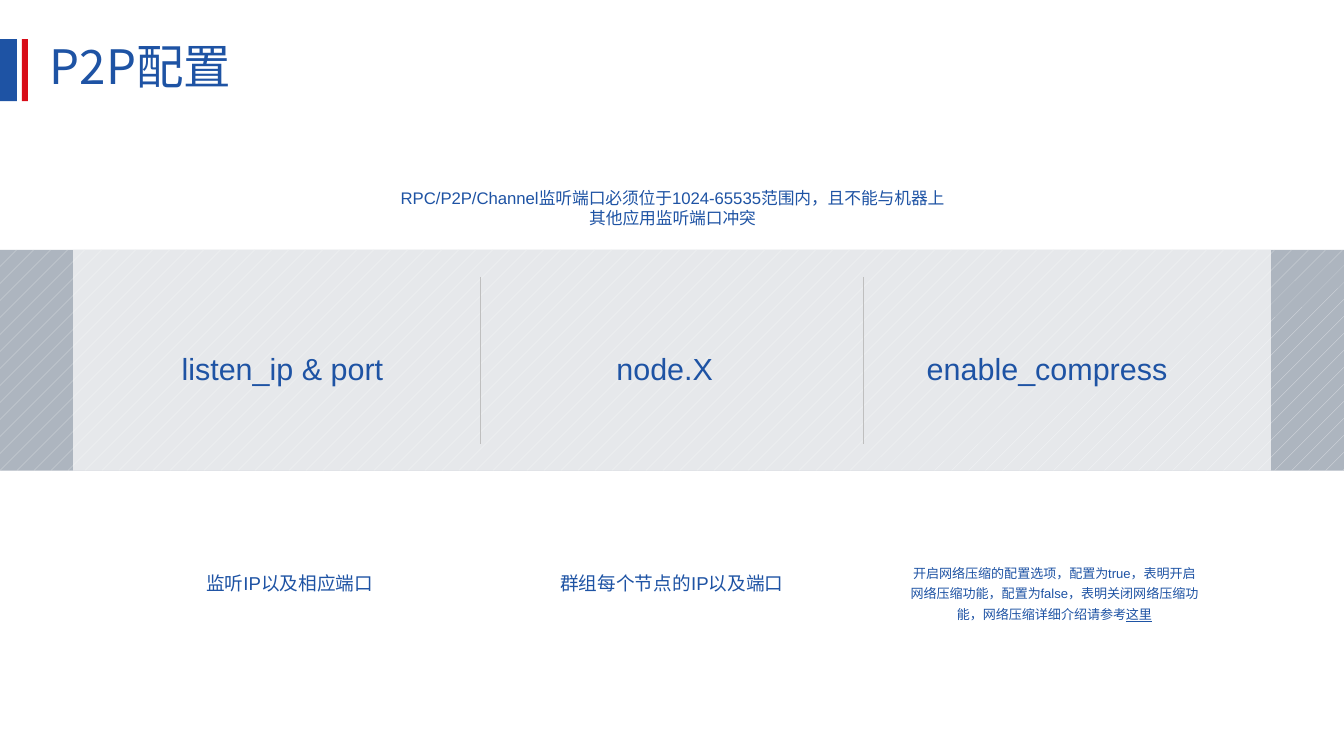
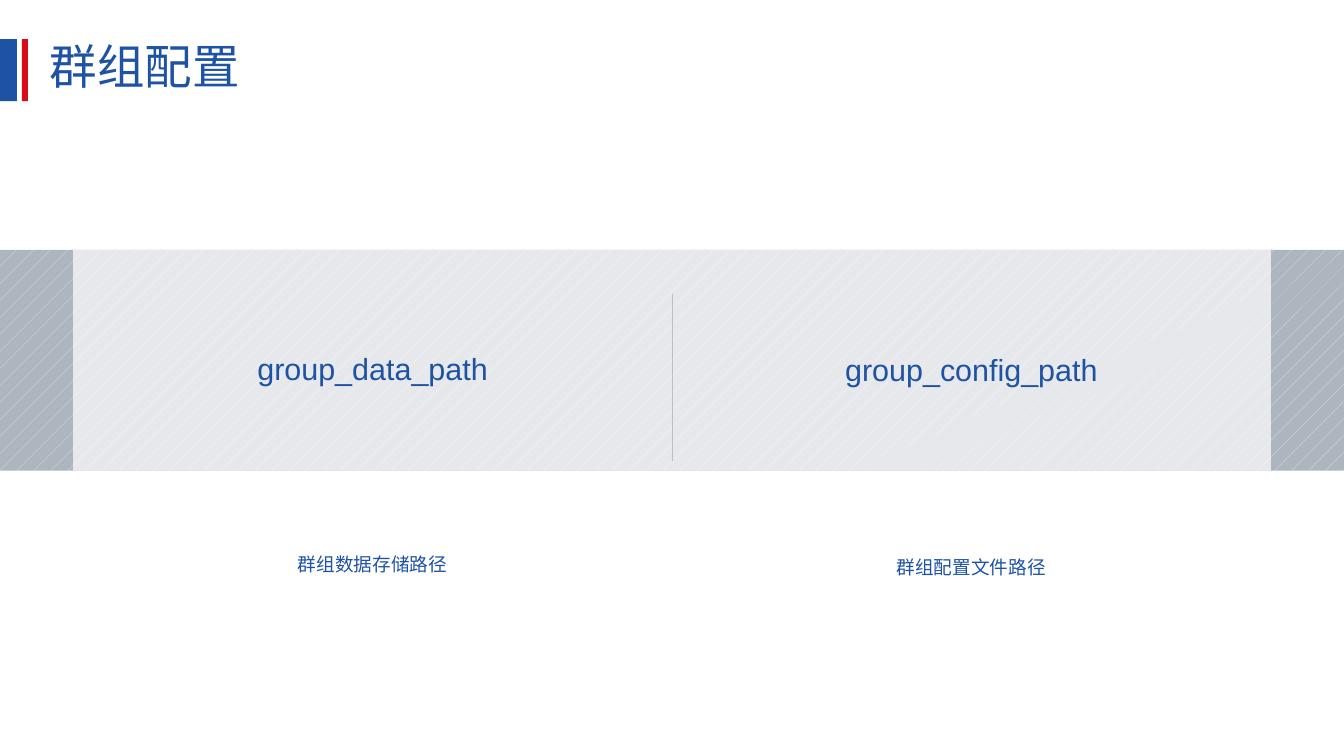
import pptx
import pptx.dml.color
import pptx.enum.dml
import pptx.enum.shapes
import pptx.enum.text
import pptx.oxml
import pptx.oxml.ns
import pptx.util
from lxml import etree

inches = pptx.util.Inches
qn = pptx.oxml.ns.qn
anchors = pptx.enum.text.MSO_ANCHOR
aligns = pptx.enum.text.PP_ALIGN

WIDTH, HEIGHT = 11.02, 6.2
COLORS = {
    "blue": "1E53A4",
    "red": "D80C18",
    "stripe": "E4E6EA",
    "gray": "ADB5BF",
    "white": "FFFFFF",
    "divider": "BFBFBF",
}
CJK_FONT = "Noto Sans CJK SC"

BAND_TOP, BAND_HEIGHT = 2.05, 1.81
BAND_MARGIN = 0.6
CELL_WIDTH = 2.59
NAME_HEIGHT, NOTE_HEIGHT = 0.38, 0.79
DIVIDER_HEIGHT = 1.37
THIRD = 3.135  # pitch of the three columns


def color(name):
    return pptx.dml.color.RGBColor.from_string(COLORS[name])


def write(box, *texts, size, font="Arial", align=aligns.CENTER,
          anchor=anchors.TOP, spacing=1.0, underline_last=False):
    """Fill a box with one paragraph, one run for each text."""
    frame = box.text_frame
    frame.word_wrap = True
    frame.vertical_anchor = anchor
    para = frame.paragraphs[0]
    para.alignment = align
    para.line_spacing = spacing
    for text in texts:
        span = para.add_run()
        span.text = text
        span.font.size = pptx.util.Pt(size)
        span.font.name = font
        span.font.color.rgb = color("blue")
        etree.SubElement(span._r.get_or_add_rPr(), qn("a:ea"), typeface=CJK_FONT)
    if underline_last:
        span.font.underline = True


# Each column: name, its left and top, note texts, note left and top, note format
plain = {"size": 11, "spacing": 1.5}
small = {"size": 7.7, "spacing": 1.3, "underline_last": True}
three_columns = [
    (name, 1.02 + i * THIRD, 2.83, note, 1.08 + i * THIRD, 4.55, style)
    for i, (name, note, style) in enumerate([
        ("listen_ip & port", ["监听IP以及相应端口"], plain),
        ("node.X", ["群组每个节点的IP以及端口"], plain),
        ("enable_compress",
         ["开启网络压缩的配置选项，配置为true，表明开启网络压缩功能，"
          "配置为false，表明关闭网络压缩功能，网络压缩详细介绍请参考", "这里"], small),
    ])
]
two_columns = [
    ("group_data_path", 1.76, 2.83, ["群组数据存储路径"], 1.76, 4.39, plain),
    ("group_config_path", 6.67, 2.84, ["群组配置文件路径"], 6.67, 4.42, plain),
]
pages = [
    {"title": "P2P配置", "columns": three_columns,
     "hint": "RPC/P2P/Channel监听端口必须位于1024-65535范围内，且不能与机器上其他应用监听端口冲突",
     "dividers": [3.94, 3.94 + THIRD], "divider_top": 2.27},
    {"title": "群组配置", "columns": two_columns, "hint": None,
     "dividers": [WIDTH / 2], "divider_top": 2.41},
]

deck = pptx.Presentation()
deck.slide_width, deck.slide_height = inches(WIDTH), inches(HEIGHT)

# The layout places the title for every page
layout = deck.slide_layouts.get_by_name("Title Only")
heading = layout.placeholders[0]
heading.left, heading.top = inches(0.41), inches(0.36)
heading.width, heading.height = inches(10.2), inches(0.42)

for content in pages:
    page = deck.slides.add_slide(layout)
    shapes = page.shapes

    # Title marks, striped band and its pale cover
    for left, top, width, height, fill in [
        (0, 0.32, 0.14, 0.51, "blue"),
        (0.18, 0.32, 0.05, 0.51, "red"),
        (0, BAND_TOP, WIDTH, BAND_HEIGHT, "stripe"),
        (BAND_MARGIN, BAND_TOP, WIDTH - 2 * BAND_MARGIN, BAND_HEIGHT, "white"),
    ]:
        block = shapes.add_shape(
            pptx.enum.shapes.MSO_SHAPE.RECTANGLE,
            inches(left), inches(top), inches(width), inches(height))
        block.shadow.inherit = False
        block.line.fill.background()
        if fill == "stripe":
            block.fill.patterned()
            block.fill.pattern = pptx.enum.dml.MSO_PATTERN.PERCENT_5
            block.fill.fore_color.rgb = color("stripe")
            block.fill.back_color.rgb = color("gray")
        else:
            block.fill.solid()
            block.fill.fore_color.rgb = color(fill)
        if fill == "white":
            tint = block._element.spPr.find(".//" + qn("a:srgbClr"))
            etree.SubElement(tint, qn("a:alpha"), val="70000")

    for x in content["dividers"]:
        top = content["divider_top"]
        divider = shapes.add_connector(
            pptx.enum.shapes.MSO_CONNECTOR.STRAIGHT,
            inches(x), inches(top), inches(x), inches(top + DIVIDER_HEIGHT))
        divider.line.color.rgb = color("divider")
        divider.line.width = pptx.util.Pt(0.25)
        etree.SubElement(divider._element.spPr, qn("a:effectLst"))

    if content["hint"]:
        box = shapes.add_textbox(inches(3.13), inches(1.49), inches(4.77), inches(0.39))
        write(box, content["hint"], size=9.9)

    for name, name_left, name_top, note, note_left, note_top, style in content["columns"]:
        box = shapes.add_textbox(inches(name_left), inches(name_top),
                                 inches(CELL_WIDTH), inches(NAME_HEIGHT))
        write(box, name, size=18, anchor=anchors.MIDDLE)
        box = shapes.add_textbox(inches(note_left), inches(note_top),
                                 inches(CELL_WIDTH), inches(NOTE_HEIGHT))
        write(box, *note, **style)

    title = shapes.title
    frame = title.text_frame
    frame.margin_left = frame.margin_right = frame.margin_top = frame.margin_bottom = 0
    frame.auto_size = pptx.enum.text.MSO_AUTO_SIZE.SHAPE_TO_FIT_TEXT
    write(title, content["title"], size=28, font=CJK_FONT, align=aligns.LEFT,
          anchor=anchors.MIDDLE, spacing=0.9)

deck.save("out.pptx")
